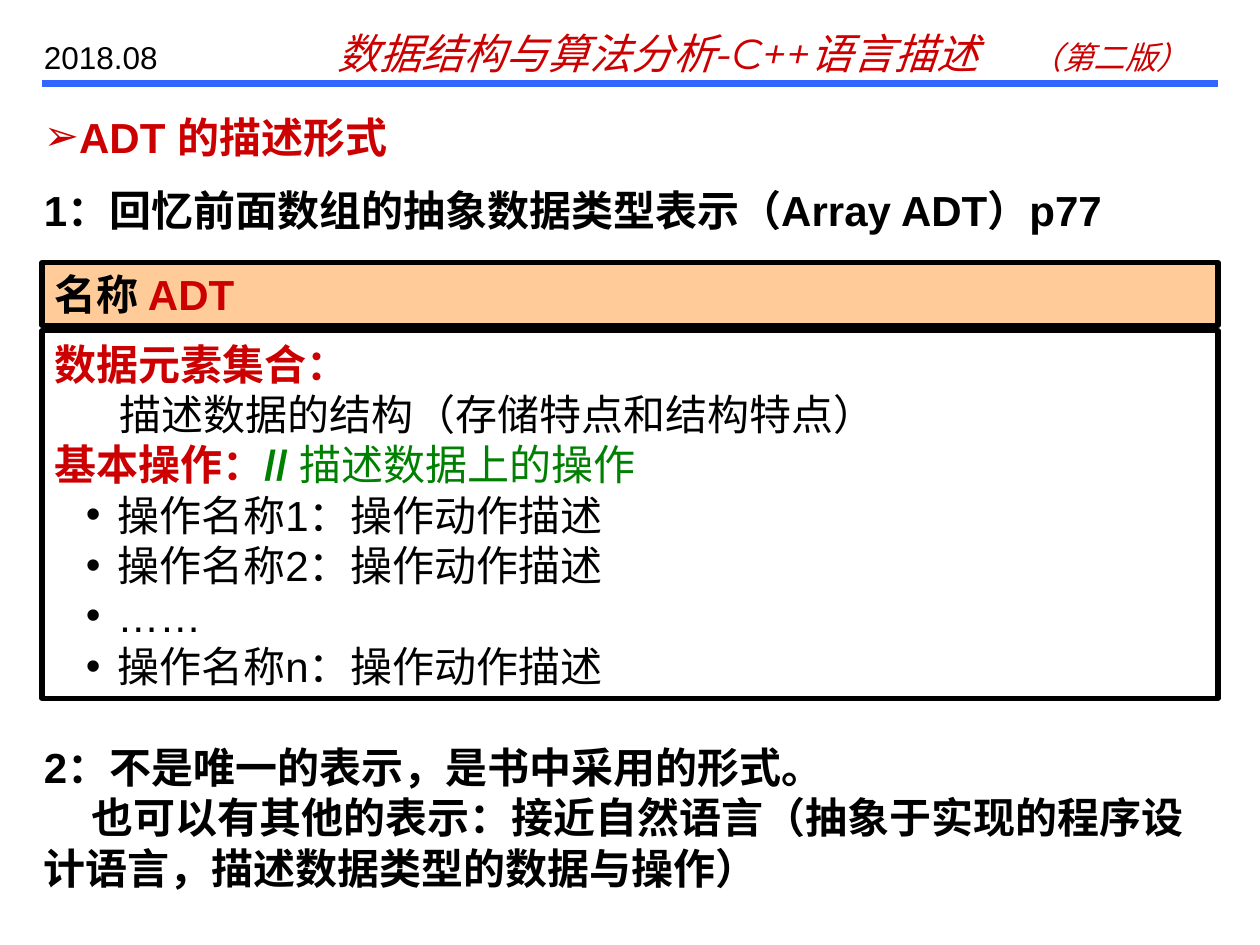
import dataclasses
from typing import Optional

import lxml.etree
import pptx
import pptx.dml.color
import pptx.enum.shapes
import pptx.enum.text
import pptx.oxml.ns
import pptx.util

BLACK = "000000"
RED = "CC0000"
GREEN = "008000"
BLUE = "3366FF"
PEACH = "FFCC99"


@dataclasses.dataclass
class Span:
    text: str
    color: str = BLACK
    bold: bool = False
    italic: bool = False
    size: float = 24
    font: str = "Arial"


@dataclasses.dataclass
class Para:
    spans: list[Span]
    margin: float = 0
    indent: float = 0
    bullet: str = ""
    tab: Optional[float] = None


@dataclasses.dataclass
class Box:
    left: float
    top: float
    width: float
    height: float
    paras: list[Para]
    framed: bool = False
    fill: Optional[str] = None
    middle: bool = False


def rgb(color: str) -> pptx.dml.color.RGBColor:
    return pptx.dml.color.RGBColor.from_string(color)


def add_element(parent, tag: str, **attributes: str):
    name = pptx.oxml.ns.qn(f"a:{tag}")
    return lxml.etree.SubElement(parent, name, attributes)


def format_paragraph(paragraph, para: Para) -> None:
    """Set indents, bullet and tab stop, in the order the schema asks for."""
    properties = paragraph._p.get_or_add_pPr()
    properties.set("marL", str(pptx.util.Pt(para.margin)))
    properties.set("indent", str(pptx.util.Pt(para.indent)))
    if para.bullet:
        color = add_element(properties, "buClr")
        add_element(color, "srgbClr", val=para.spans[0].color)
        add_element(properties, "buFont", typeface="Arial")
        add_element(properties, "buChar", char=para.bullet)
    if para.tab is not None:
        tabs = add_element(properties, "tabLst")
        add_element(tabs, "tab", pos=str(pptx.util.Pt(para.tab)), algn="l")
    paragraph.alignment = pptx.enum.text.PP_ALIGN.LEFT


def add_text(paragraph, text: str, *, color: str, bold: bool, italic: bool,
             size: float, font: str) -> None:
    run = paragraph.add_run()
    run.text = text
    run.font.name = font
    run.font.size = pptx.util.Pt(size)
    run.font.bold = bold
    run.font.italic = italic
    run.font.color.rgb = rgb(color)


def draw_box(page, box: Box) -> None:
    place = [pptx.util.Pt(v) for v in (box.left, box.top, box.width, box.height)]
    if box.framed:
        shape = page.shapes.add_shape(
            pptx.enum.shapes.MSO_SHAPE.RECTANGLE, *place)
        shape.shadow.inherit = False
        shape.line.color.rgb = rgb(BLACK)
        shape.line.width = pptx.util.Pt(3)
        if box.fill:
            shape.fill.solid()
            shape.fill.fore_color.rgb = rgb(box.fill)
        else:
            shape.fill.background()
    else:
        shape = page.shapes.add_textbox(*place)
    frame = shape.text_frame
    frame.word_wrap = True
    anchor = pptx.enum.text.MSO_ANCHOR
    frame.vertical_anchor = anchor.MIDDLE if box.middle else anchor.TOP
    for index, para in enumerate(box.paras):
        paragraph = frame.add_paragraph() if index else frame.paragraphs[0]
        format_paragraph(paragraph, para)
        for span in para.spans:
            add_text(paragraph, **dataclasses.asdict(span))


def draw_rule(page, left: float, right: float, top: float) -> None:
    rule = page.shapes.add_connector(
        pptx.enum.shapes.MSO_CONNECTOR.STRAIGHT,
        *(pptx.util.Pt(v) for v in (left, top, right, top)))
    rule.line.color.rgb = rgb(BLUE)
    rule.line.width = pptx.util.Pt(4)
    add_element(rule._element.spPr, "effectLst")


def bold_para(text: str, indent: float = 0) -> Para:
    return Para([Span(text, bold=True)], indent=indent)


OPERATIONS = ["操作名称1：操作动作描述", "操作名称2：操作动作描述",
              "……", "操作名称n：操作动作描述"]

BOOK_TITLE = Para([
    Span("数据结构与算法分析-C++语言描述\t", RED, italic=True, font="Montserrat"),
    Span("（第二版）", RED, italic=True, size=18, font="Montserrat"),
], tab=389)

ADT_BODY = [
    Para([Span("数据元素集合：", RED, bold=True)]),
    Para([Span("描述数据的结构（存储特点和结构特点）")], margin=37),
    Para([Span("基本操作：", RED, bold=True), Span("// ", GREEN, bold=True),
          Span("描述数据上的操作", GREEN)]),
] + [Para([Span(text)], margin=36, indent=-18, bullet="•")
     for text in OPERATIONS]

BOXES = [
    Box(186, 12, 504, 36, [BOOK_TITLE]),
    Box(18, 18, 102, 29, [Para([Span("2018.08", size=18)])]),
    Box(18, 60, 672, 42,
        [Para([Span("ADT 的描述形式", RED, bold=True)], bullet="➢")]),
    Box(24, 150, 672, 36,
        [Para([Span("名称 ", bold=True), Span("ADT", RED, bold=True)])],
        framed=True, fill=PEACH),
    Box(24, 189, 672, 210, ADT_BODY, framed=True, middle=True),
    Box(18, 102, 672, 42,
        [bold_para("1：回忆前面数组的抽象数据类型表示（Array ADT）p77")]),
    Box(18, 420, 684, 96, [
        bold_para("2：不是唯一的表示，是书中采用的形式。"),
        bold_para("也可以有其他的表示：接近自然语言（抽象于实现的程序设计语言，"
                  "描述数据类型的数据与操作）", indent=27)]),
]


def main() -> None:
    deck = pptx.Presentation()
    deck.slide_width = pptx.util.Pt(720)
    deck.slide_height = pptx.util.Pt(540)
    page = deck.slides.add_slide(deck.slide_layouts[6])
    draw_rule(page, 24, 696, 48)
    for box in BOXES:
        draw_box(page, box)
    deck.save("out.pptx")


if __name__ == "__main__":
    main()
